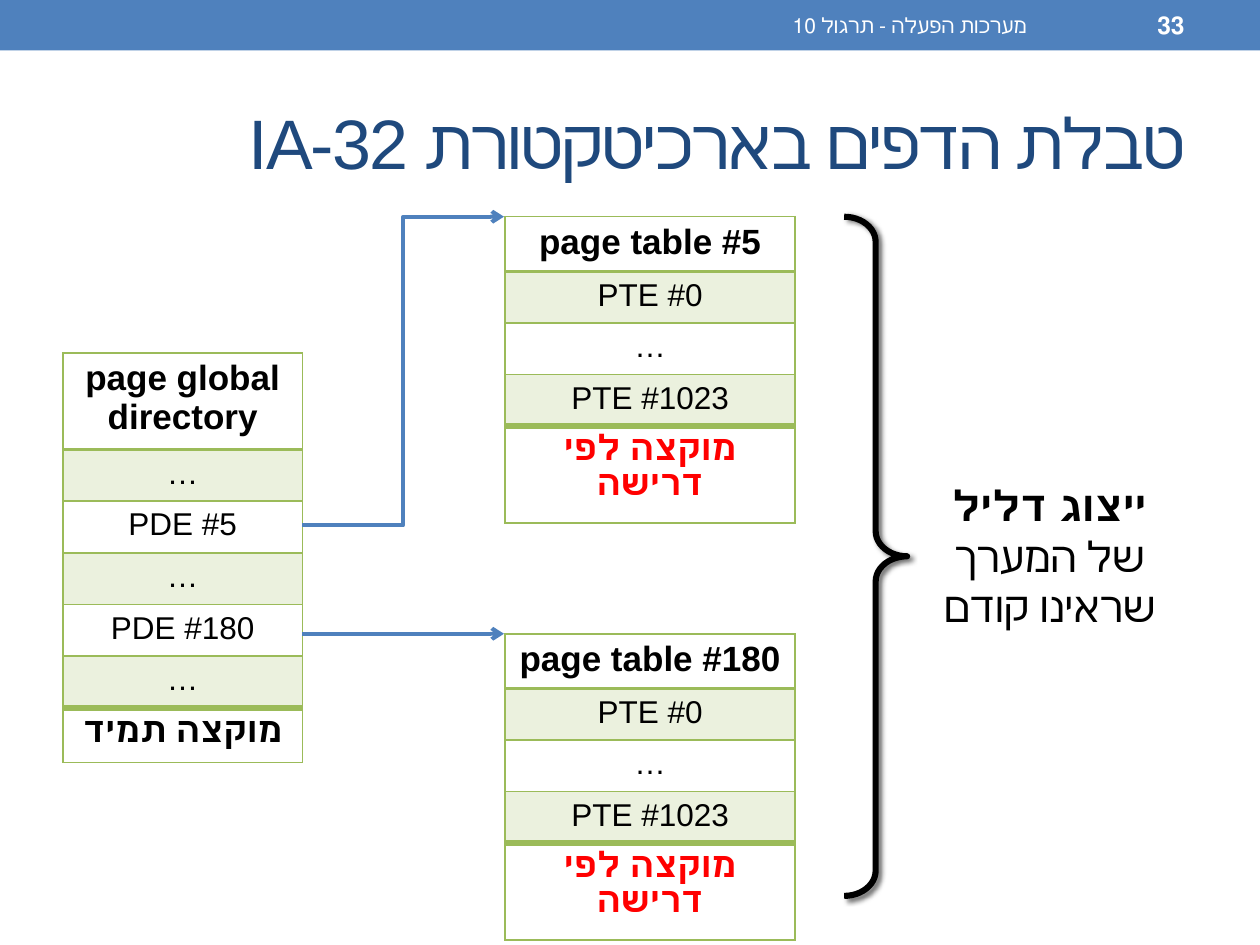
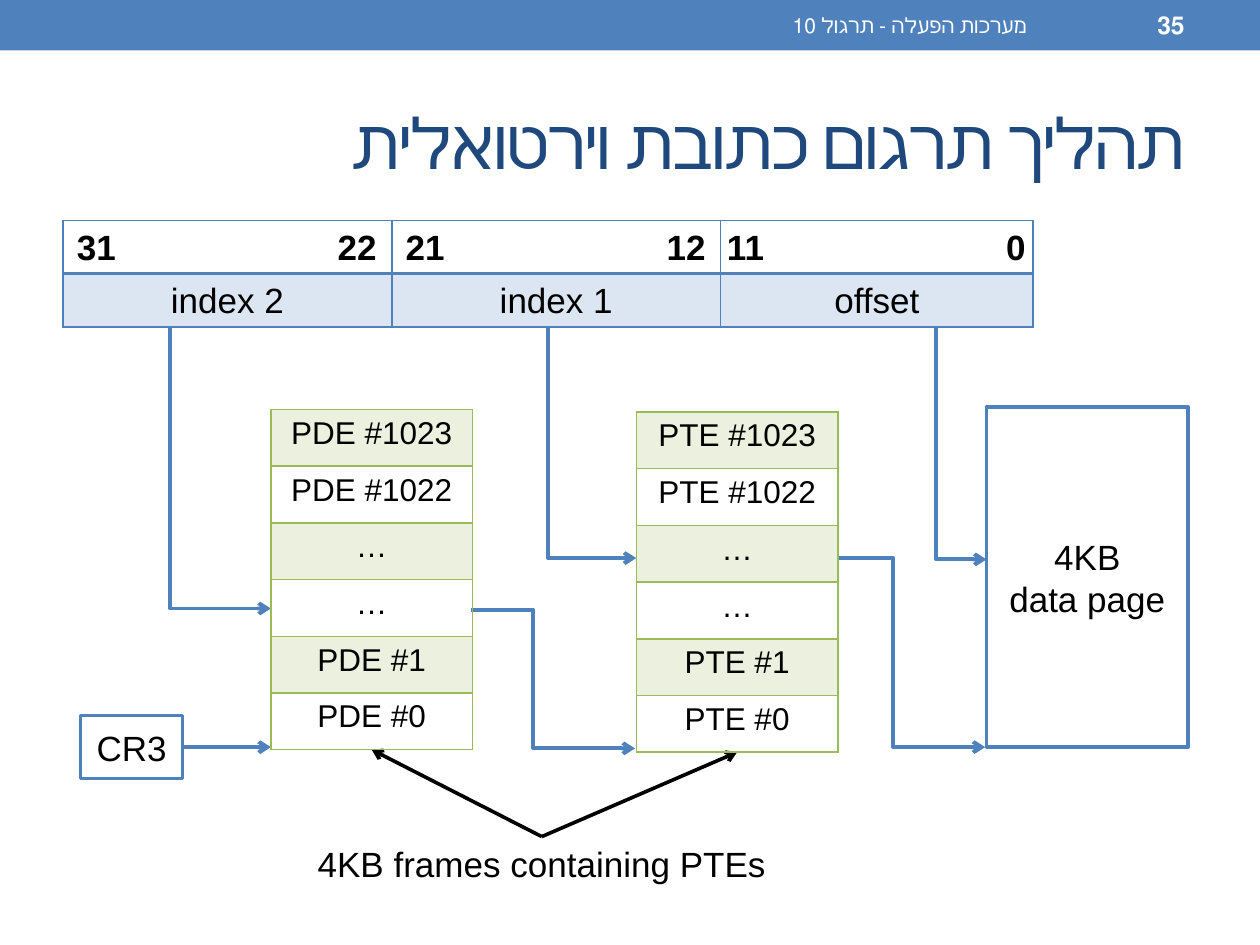
from pptx import Presentation
from pptx.dml.color import RGBColor
from pptx.enum.shapes import MSO_CONNECTOR, MSO_SHAPE
from pptx.enum.text import MSO_ANCHOR, PP_ALIGN
from pptx.oxml.ns import qn
from pptx.util import Inches, Pt
from lxml.etree import SubElement

HUES = {"blue": "4F81BD", "navy": "1F497D", "green": "9BBB59", "red": "FF0000",
        "black": "000000", "white": "FFFFFF", "mint": "EBF1DE", "sky": "DCE6F2"}
COLS, ROWS = 100, 75
UNIT = Inches(0.1)
MID, RIGHT = PP_ALIGN.CENTER, PP_ALIGN.RIGHT

FOOTER = "מערכות הפעלה - תרגול 10"
TITLES = {33: "טבלת הדפים בארכיטקטורת IA-32", 35: "תהליך תרגום כתובת וירטואלית"}
HEAD = {"size": 20, "bold": True}
CELL = {"size": 18}
NEED = {"size": 20, "bold": True, "hue": "red"}

PAGE = ["PTE #0", "…", "PTE #1023"]
DEMAND = "מוקצה לפי דרישה"
MAPS = [
    (5, 28, 19, 7.1, 4.1, "page global directory",
     ["…", "PDE #5", "…", "PDE #180", "…"], "מוקצה תמיד", HEAD),
    (40.1, 17.2, 23, 4.1, 6.6, "page table #5", PAGE, DEMAND, NEED),
    (40.1, 50.3, 23, 4.1, 6.6, "page table #180", PAGE, DEMAND, NEED),
]
SPARSE = [("ייצוג דליל", True), ("של המערך", False), ("שראינו קודם", False)]

FIELDS = [("31\t22", "index 2", 26.1, 1.1), ("21\t12", "index 1", 26.1, 1.1),
          ("11\t0", "offset", 24.8, 0.5)]
FRAMES = [("PDE", 21.5, 32.5), ("PTE", 50.5, 32.7)]
ENTRIES = ["{} #1023", "{} #1022", "…", "…", "{} #1", "{} #0"]
DROPS = [(43.5, 25.3, 50.5, 44.3), (13.5, 25.3, 21.5, 48.3), (74.3, 25.4, 78.3, 44.4)]
STEPS = [(37.4, 48.4, 50.4, 59.4, 0.38), (66.6, 44.3, 78.2, 59.3, 0.37)]
TIPS = [(29.5, 59.5), (58.5, 59.7)]


def grid(*vals):
    return [round(v * UNIT) for v in vals]


def rgb(hue):
    return RGBColor.from_string(HUES[hue])


def put(obj, **vals):
    for key, val in vals.items():
        setattr(obj, key, val)


def paint(obj, hue):
    if hue:
        obj.fill.solid()
        obj.fill.fore_color.rgb = rgb(hue)
    else:
        obj.fill.background()


def stroke(obj, hue, width):
    obj.line.color.rgb = rgb(hue)
    obj.line.width = Pt(width)


def write(par, text, size=18, bold=False, hue="black", align=MID, rtl=False, spc=0):
    par.text = text
    par.alignment = align
    if rtl:
        par._p.get_or_add_pPr().set("rtl", "1")
    for run in par.runs:
        put(run.font, name="Arial", size=Pt(size), bold=bold)
        run.font.color.rgb = rgb(hue)
        if spc:
            run._r.get_or_add_rPr().set("spc", str(spc))


def label(page, box, text, anchor=MSO_ANCHOR.TOP, **form):
    shape = page.shapes.add_textbox(*grid(*box))
    put(shape.text_frame, word_wrap=True, vertical_anchor=anchor)
    write(shape.text_frame.paragraphs[0], text, **form)
    return shape


def block(page, box, hue, edge=None, text="", kind=MSO_SHAPE.RECTANGLE):
    shape = page.shapes.add_shape(kind, *grid(*box))
    shape.shadow.inherit = False
    paint(shape, hue)
    if edge:
        stroke(shape, *edge)
    else:
        shape.line.fill.background()
    if text:
        put(shape.text_frame, word_wrap=True, vertical_anchor=MSO_ANCHOR.MIDDLE)
        write(shape.text_frame.paragraphs[0], text, size=20)
    return shape


def arrow(page, ends, kind=MSO_CONNECTOR.STRAIGHT, hue="blue", width=2.25, bend=None):
    link = page.shapes.add_connector(kind, *grid(*ends))
    stroke(link, hue, width)
    props = link._element.spPr
    SubElement(props.find(qn("a:ln")), qn("a:tailEnd"), type="arrow")
    SubElement(props, qn("a:effectLst"))
    if bend is not None:
        stops = props.find(qn("a:prstGeom")).find(qn("a:avLst"))
        SubElement(stops, qn("a:gd"), name="adj1", fmla=f"val {round(bend * 100000)}")
    return link


def drop(page, x1, y1, x2, y2):
    midx, midy = (x1 + x2) / 2, (y1 + y2) / 2
    wide, high = (y2 - y1) / 2, (x2 - x1) / 2
    link = arrow(page, (midx - wide, midy - high, midx + wide, midy + high),
                 MSO_CONNECTOR.ELBOW, bend=1)
    frame = link._element.spPr.find(qn("a:xfrm"))
    frame.set("rot", "16200000")
    frame.set("flipH", "1")


def border(cell, hue, top, low):
    props = cell._tc.get_or_add_tcPr()
    for side, width in zip("LRTB", (1, 1, top, low)):
        line = SubElement(props, qn(f"a:ln{side}"), w=str(Pt(width)))
        fill = SubElement(line, qn("a:solidFill"))
        SubElement(fill, qn("a:srgbClr"), val=HUES[hue])


def table(page, x, y, wides, highs, rows, forms, hue, tints, edges):
    size = len(rows), len(wides)
    grille = page.shapes.add_table(*size, *grid(x, y, sum(wides), sum(highs))).table
    put(grille, first_row=False, horz_banding=False)
    for col, wide in zip(grille.columns, grid(*wides)):
        col.width = wide
    for r, texts in enumerate(rows):
        grille.rows[r].height = grid(highs[r])[0]
        for c, text in enumerate(texts):
            cell = grille.cell(r, c)
            border(cell, hue, edges[r], edges[r + 1])
            paint(cell, tints[r])
            write(cell.text_frame.paragraphs[0], text, **forms[r])
    return grille


def start(deck, num):
    page = deck.slides.add_slide(deck.slide_layouts[6])
    block(page, (0, 0, COLS, 4), "blue")
    side = {"anchor": MSO_ANCHOR.MIDDLE, "align": RIGHT, "rtl": True}
    label(page, (5, 5.8, 90, 10.8), TITLES[num], size=40, hue="navy", spc=-100, **side)
    label(page, (83.3, 0.2, 11.7, 3.6), str(num), size=14, bold=True, hue="white", **side)
    label(page, (37.5, 0.2, 45, 3.6), FOOTER, size=12, hue="white", **side)
    return page


def tables(deck):
    page = start(deck, 33)
    for x, y, wide, top, low, head, body, foot, form in MAPS:
        count = len(body)
        table(page, x, y, [wide], [top] + [4.1] * count + [low],
              [[text] for text in (head, *body, foot)],
              [HEAD] + [CELL] * count + [form], "green",
              [("mint" if r % 2 else None) for r in range(count + 2)],
              [1, 2] + [1] * (count - 1) + [4, 1])
    brace = block(page, (67, 17.2, 5, 53.9), None, ("black", 3.5),
                  kind=MSO_SHAPE.RIGHT_BRACE)
    brace.adjustments[0] = 0.4
    glow = SubElement(brace._element.spPr.find(qn("a:effectLst")), qn("a:outerShdw"),
                      blurRad=str(Pt(3)), dist=str(Pt(2)), dir="2700000")
    tone = SubElement(glow, qn("a:srgbClr"), val=HUES["black"])
    SubElement(tone, qn("a:alpha"), val="60000")
    (text, bold), *rest = SPARSE
    note = label(page, (73.7, 37.6, 19.2, 13.1), text, size=24, bold=bold, rtl=True)
    for text, bold in rest:
        write(note.text_frame.add_paragraph(), text, size=24, bold=bold, rtl=True)
    arrow(page, (24, 50.3, 40, 50.3))
    arrow(page, (24, 41.7, 40, 17.2), MSO_CONNECTOR.ELBOW)


def lookup(deck):
    page = start(deck, 35)
    block(page, (78.3, 32.3, 16, 27), "white", ("blue", 2.08), "4KB\vdata page")
    for ends in DROPS:
        drop(page, *ends)
    for *ends, bend in STEPS:
        arrow(page, ends, MSO_CONNECTOR.ELBOW, bend=bend)
    base = block(page, (6.4, 56.8, 8.1, 5), "white", ("blue", 2.08), "CR3")
    arrow(page, (14.5, 59.3, 21.5, 59.3)).begin_connect(base, 3)
    note = label(page, (23.1, 66.4, 39.8, 5.1), "4KB frames containing PTEs", size=20)
    for tip in TIPS:
        arrow(page, (43, 66.4, *tip), hue="black", width=2.08).begin_connect(note, 0)
    bits, names, wides, pads = zip(*FIELDS)
    form = {"size": 20}
    split = {**HEAD, "align": PP_ALIGN.LEFT}
    grille = table(page, 5, 17.5, wides, [4, 4], [bits, names], [split, form],
                   "blue", [None, "sky"], [1, 2, 1])
    for c, (wide, pad) in enumerate(zip(wides, pads)):
        for r in range(2):
            cell = grille.cell(r, c)
            side, edge = grid(pad, 0.2)
            put(cell, margin_left=side, margin_right=side, margin_top=edge, margin_bottom=edge)
            cell.text_frame.paragraphs[0].line_spacing = 1.15
        props = grille.cell(0, c).text_frame.paragraphs[0]._p.get_or_add_pPr()
        stops = SubElement(props, qn("a:tabLst"))
        SubElement(stops, qn("a:tab"), pos=str(grid(wide - 2 * pad - 0.1)[0]), algn="r")
    count = len(ENTRIES)
    for kind, x, y in FRAMES:
        table(page, x, y, [16], [4.5] * count, [[text.format(kind)] for text in ENTRIES],
              [CELL] * count, "green", ["mint", None] * (count // 2), [1] * (count + 1))


def main():
    """Build the two paging slides and save them."""
    deck = Presentation()
    put(deck, slide_width=COLS * UNIT, slide_height=ROWS * UNIT)
    tables(deck)
    lookup(deck)
    deck.save("out.pptx")


if __name__ == "__main__":
    main()
